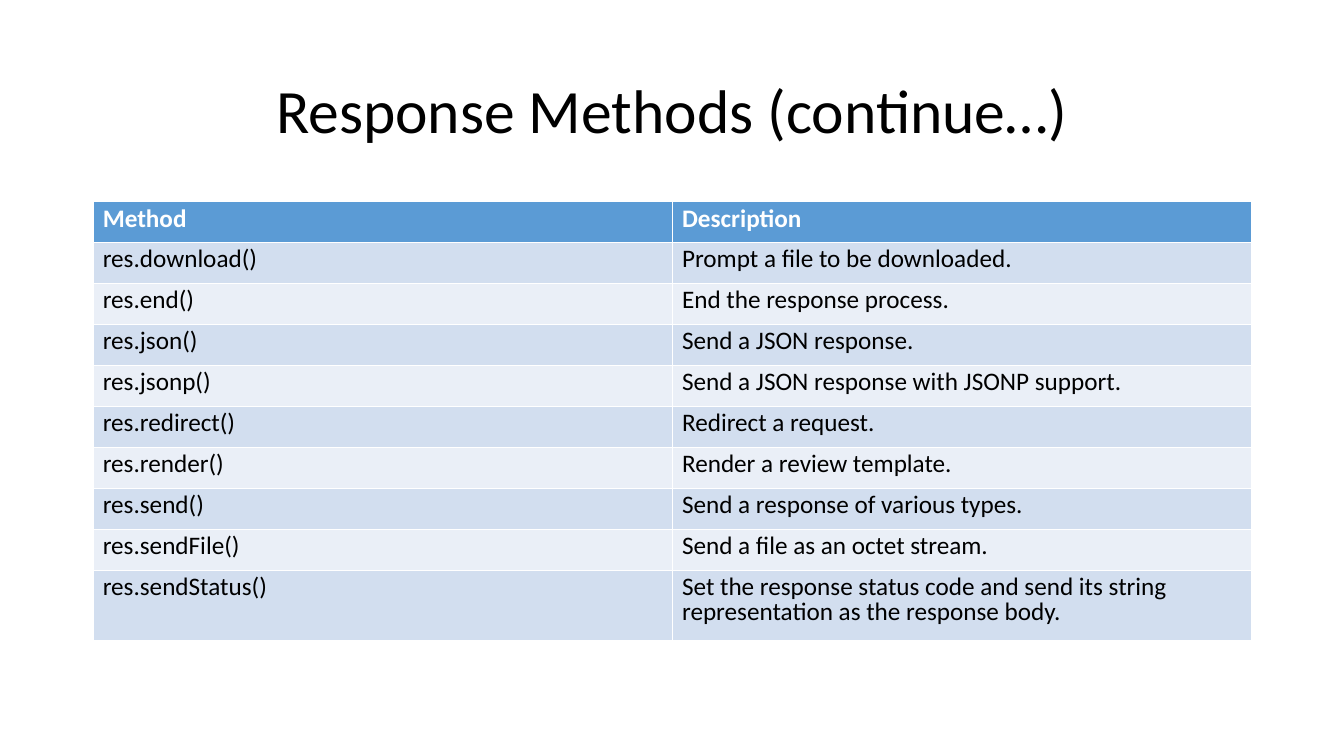
import dataclasses

import lxml.etree
import pptx
import pptx.dml.color
import pptx.enum.text
import pptx.oxml.ns
import pptx.util

GRID_COLUMNS, GRID_ROWS = 29, 150
HEADER = ("Method", "Description")
METHODS = [
    ("res.download()", "Prompt a file to be downloaded."),
    ("res.end()", "End the response process."),
    ("res.json()", "Send a JSON response."),
    ("res.jsonp()", "Send a JSON response with JSONP support."),
    ("res.redirect()", "Redirect a request."),
    ("res.render()", "Render a review template."),
    ("res.send()", "Send a response of various types."),
    ("res.sendFile()", "Send a file as an octet stream."),
    ("res.sendStatus()", "Set the response status code and send its string "
                         "representation as the response body."),
]


@dataclasses.dataclass(frozen=True)
class Theme:
    font: str = "Calibri"
    title_size: int = 44
    table_size: int = 18
    ink: str = "000000"
    paper: str = "FFFFFF"
    header: str = "5B9BD5"
    bands: tuple = ("D2DEEF", "EAEFF7")
    hairline: float = 0.23
    header_rule: float = 0.75


def rgb(color):
    return pptx.dml.color.RGBColor.from_string(color)


def write(frame, text, *, font, size, color, bold=False, align=None, spacing=1.0):
    paragraph = frame.paragraphs[0]
    paragraph.alignment = align
    paragraph.line_spacing = spacing
    run = paragraph.add_run()
    run.text = text
    run.font.name = font
    run.font.size = pptx.util.Pt(size)
    run.font.bold = bold
    run.font.color.rgb = rgb(color)


def draw_borders(cell, color, widths):
    """Set the left, right, top and bottom borders, widths in points."""
    properties = cell._tc.get_or_add_tcPr()
    qn = pptx.oxml.ns.qn
    for position, (side, width) in enumerate(zip("LRTB", widths)):
        line = lxml.etree.Element(qn(f"a:ln{side}"), w=str(int(pptx.util.Pt(width))))
        fill = lxml.etree.SubElement(line, qn("a:solidFill"))
        lxml.etree.SubElement(fill, qn("a:srgbClr"), val=color)
        properties.insert(position, line)


class Deck:
    def __init__(self, theme):
        self.theme = theme
        self.presentation = pptx.Presentation()
        self.presentation.slide_width = pptx.util.Inches(13.34)
        self.presentation.slide_height = pptx.util.Inches(7.5)
        self.slide = self.presentation.slides.add_slide(self.presentation.slide_layouts[6])

    def across(self, columns):
        return round(self.presentation.slide_width * columns / GRID_COLUMNS)

    def down(self, rows):
        return round(self.presentation.slide_height * rows / GRID_ROWS)

    def box(self, left, top, width, height):
        return self.across(left), self.down(top), self.across(width), self.down(height)

    def title(self, text, *place):
        frame = self.slide.shapes.add_textbox(*self.box(*place)).text_frame
        frame.word_wrap = True
        frame.vertical_anchor = pptx.enum.text.MSO_ANCHOR.MIDDLE
        write(frame, text, font=self.theme.font, size=self.theme.title_size,
              color=self.theme.ink, align=pptx.enum.text.PP_ALIGN.CENTER, spacing=0.9)

    def table(self, entries, heights, left, top, width):
        theme = self.theme
        grid = self.slide.shapes.add_table(
            len(entries), len(entries[0]), *self.box(left, top, width, sum(heights))).table
        for index, (entry, height) in enumerate(zip(entries, heights)):
            grid.rows[index].height = self.down(height)
            is_header = index == 0
            # Header fill first, then alternating bands
            fill = theme.header if is_header else theme.bands[(index - 1) % 2]
            above = theme.header_rule if index == 1 else theme.hairline
            below = theme.header_rule if is_header else theme.hairline
            for column, text in enumerate(entry):
                cell = grid.cell(index, column)
                cell.fill.solid()
                cell.fill.fore_color.rgb = rgb(fill)
                draw_borders(cell, theme.paper, (theme.hairline, theme.hairline, above, below))
                write(cell.text_frame, text, font=theme.font, size=theme.table_size,
                      color=theme.paper if is_header else theme.ink,
                      bold=is_header, spacing=0.83)


def main():
    deck = Deck(Theme())

    # Heading
    deck.title("Response Methods (continue…)", 2, 8, 25, 29)

    # Methods table: equal rows, with a taller last one for two lines
    entries = [HEADER, *METHODS]
    heights = [8.12] * len(METHODS) + [14]
    deck.table(entries, heights, left=2, top=40, width=25)

    deck.presentation.save("out.pptx")


if __name__ == "__main__":
    main()
